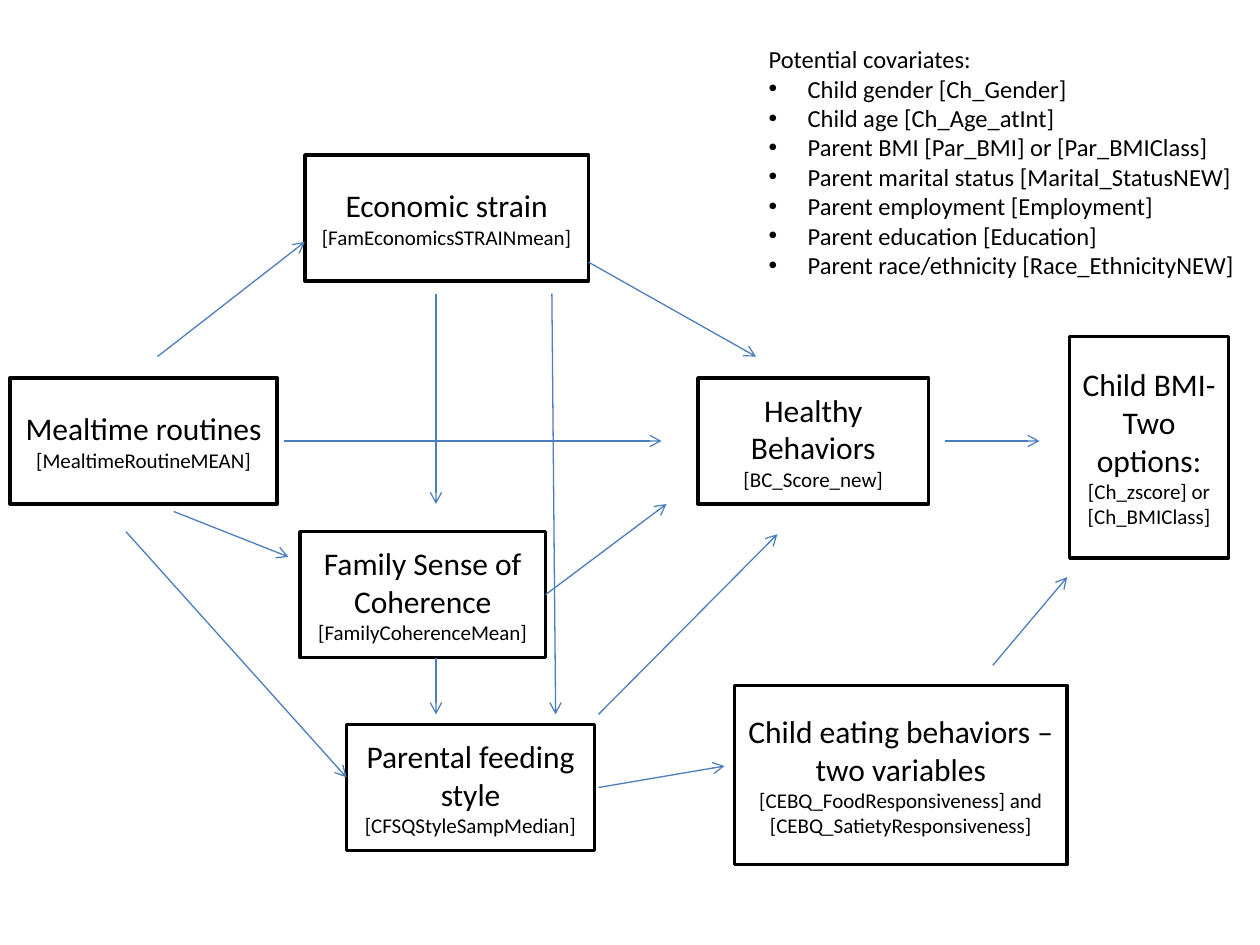
import dataclasses

import lxml.etree
import pptx
import pptx.dml.color
import pptx.enum.shapes
import pptx.enum.text
import pptx.oxml.ns
import pptx.util

Inches = pptx.util.Inches
Pt = pptx.util.Pt
qn = pptx.oxml.ns.qn
PP_ALIGN = pptx.enum.text.PP_ALIGN


@dataclasses.dataclass(frozen=True)
class Theme:
    font: str = "Calibri"
    ink: str = "000000"
    paper: str = "FFFFFF"
    arrow: str = "4B7EBC"
    concept_size: float = 18
    variable_size: float = 12
    list_size: float = 14
    box_line: float = 2
    arrow_line: float = 0.75
    indent: float = 0.31


THEME = Theme()

# Each box: left, top, width, height, concept lines, variable lines
BOXES = [
    (0.08, 3, 2.12, 1, ["Mealtime routines"], ["[MealtimeRoutineMEAN]"]),
    (2.75, 5.75, 1.97, 1, ["Parental feeding style"], ["[CFSQStyleSampMedian]"]),
    (2.42, 1.23, 2.25, 1, ["Economic strain"], ["[FamEconomicsSTRAINmean]"]),
    (5.54, 3, 1.83, 1, ["Healthy Behaviors"], ["[BC_Score_new]"]),
    (2.38, 4.22, 1.95, 1, ["Family Sense of Coherence"], ["[FamilyCoherenceMean]"]),
    (5.83, 5.44, 2.64, 1.42, ["Child eating behaviors – two variables"],
     ["[CEBQ_FoodResponsiveness] and", "[CEBQ_SatietyResponsiveness]"]),
    (8.49, 2.67, 1.26, 1.76, ["Child BMI-", "Two options:"],
     ["[Ch_zscore] or [Ch_BMIClass]"]),
]

# Each arrow: start x, start y, end x, end y
ARROWS = [
    (2.25, 3.5, 5.25, 3.5),      # routines to healthy behaviors
    (7.5, 3.5, 8.25, 3.5),       # healthy behaviors to BMI
    (1.25, 2.83, 2.42, 1.92),    # routines to strain
    (1.38, 4.06, 2.29, 4.42),    # routines to coherence
    (4.33, 4.72, 5.29, 4),       # coherence to healthy behaviors
    (1, 4.22, 2.75, 6.17),       # routines to feeding style
    (4.75, 6.25, 5.75, 6.08),    # feeding style to eating behaviors
    (7.88, 5.28, 8.47, 4.58),    # eating behaviors to BMI
    (4.67, 2.08, 6, 2.83),       # strain to healthy behaviors
    (3.46, 2.33, 3.46, 4),       # strain to coherence
    (3.46, 5.22, 3.46, 5.67),    # coherence to feeding style
    (4.38, 2.33, 4.41, 5.67),    # strain to feeding style
    (4.75, 5.67, 6.17, 4.24),    # feeding style to healthy behaviors
]

COVARIATES = [
    "Child gender [Ch_Gender]",
    "Child age [Ch_Age_atInt]",
    "Parent BMI [Par_BMI] or [Par_BMIClass]",
    "Parent marital status [Marital_StatusNEW]",
    "Parent employment [Employment]",
    "Parent education [Education]",
    "Parent race/ethnicity [Race_EthnicityNEW]",
]


def rgb(value):
    return pptx.dml.color.RGBColor.from_string(value)


def write_paragraph(frame, text, *, size, align=PP_ALIGN.LEFT, first=False):
    paragraph = frame.paragraphs[0] if first else frame.add_paragraph()
    paragraph.alignment = align
    paragraph.space_before = Pt(0)
    run = paragraph.add_run()
    run.text = text
    run.font.name = THEME.font
    run.font.size = Pt(size)
    run.font.color.rgb = rgb(THEME.ink)
    return paragraph


def set_bullet(paragraph, bullet=None):
    properties = paragraph._p.get_or_add_pPr()
    indent = Inches(THEME.indent) if bullet else 0
    properties.set("marL", str(indent))
    properties.set("indent", str(-indent))
    if bullet:
        lxml.etree.SubElement(properties, qn("a:buFont"), typeface="Arial")
        lxml.etree.SubElement(properties, qn("a:buChar"), char=bullet)
    else:
        lxml.etree.SubElement(properties, qn("a:buNone"))


def add_box(slide, left, top, width, height, concepts, variables):
    shape = slide.shapes.add_shape(
        pptx.enum.shapes.MSO_SHAPE.RECTANGLE,
        Inches(left), Inches(top), Inches(width), Inches(height))
    shape.shadow.inherit = False
    shape.fill.solid()
    shape.fill.fore_color.rgb = rgb(THEME.paper)
    shape.line.color.rgb = rgb(THEME.ink)
    shape.line.width = Pt(THEME.box_line)
    frame = shape.text_frame
    frame.word_wrap = True
    frame.vertical_anchor = pptx.enum.text.MSO_ANCHOR.MIDDLE
    lines = [(text, THEME.concept_size) for text in concepts]
    lines += [(text, THEME.variable_size) for text in variables]
    for index, (text, size) in enumerate(lines):
        write_paragraph(frame, text, size=size, align=PP_ALIGN.CENTER,
                        first=index == 0)


def add_arrow(slide, *ends):
    connector = slide.shapes.add_connector(
        pptx.enum.shapes.MSO_CONNECTOR.STRAIGHT, *map(Inches, ends))
    connector.line.color.rgb = rgb(THEME.arrow)
    connector.line.width = Pt(THEME.arrow_line)
    lxml.etree.SubElement(connector.line._get_or_add_ln(),
                          qn("a:tailEnd"), type="arrow")
    lxml.etree.SubElement(connector._element.spPr, qn("a:effectLst"))


def fill_list(placeholder, heading, items):
    placeholder.left, placeholder.top = Inches(6), Inches(0.3)
    placeholder.width, placeholder.height = Inches(3.94), Inches(1.99)
    frame = placeholder.text_frame
    frame.word_wrap = False
    frame.auto_size = pptx.enum.text.MSO_AUTO_SIZE.NONE
    frame.vertical_anchor = pptx.enum.text.MSO_ANCHOR.TOP
    set_bullet(write_paragraph(frame, heading, size=THEME.list_size, first=True))
    for item in items:
        set_bullet(write_paragraph(frame, item, size=THEME.list_size), "•")


def main():
    presentation = pptx.Presentation()
    presentation.slide_width = Inches(10)
    presentation.slide_height = Inches(7.5)
    slide = presentation.slides.add_slide(presentation.slide_layouts[1])

    # The diagram has no title
    title = slide.shapes.title._element
    title.getparent().remove(title)

    # Covariates, boxes and paths
    fill_list(slide.placeholders[1], "Potential covariates:", COVARIATES)
    for box in BOXES:
        add_box(slide, *box)
    for arrow in ARROWS:
        add_arrow(slide, *arrow)

    presentation.save("out.pptx")


main()
